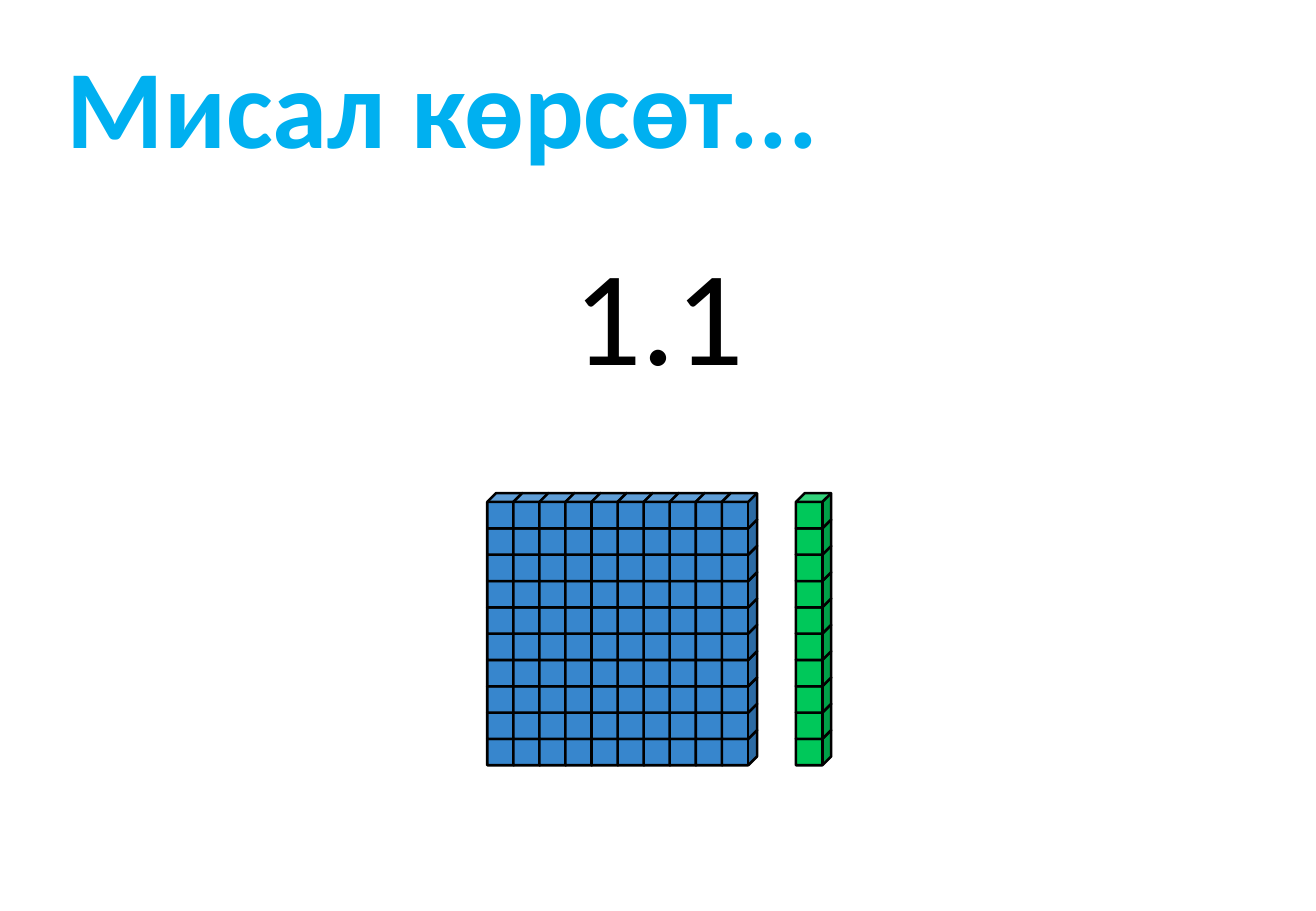
"""Build the slide that shows 1.1 with base-ten blocks."""
from pptx import Presentation
from pptx.dml.color import RGBColor
from pptx.enum.shapes import MSO_SHAPE as SHAPE
from pptx.enum.text import MSO_ANCHOR as ANCHOR, MSO_AUTO_SIZE as AUTO, PP_ALIGN as ALIGN
from pptx.util import Inches, Pt

COLORS = {"title": "00B0F0", "black": "000000", "whole": "3786CD", "tenth": "00C85A"}
CUBE = 0.29
COUNT = 10
COL_STEP = 1.93 / (COUNT - 1)
ROW_STEP = 1.95 / (COUNT - 1)
BOTTOM_ROW = 6.01


def color(name):
    return RGBColor.from_string(COLORS[name])


def write(shape, text, size, name, bold, align):
    tf = shape.text_frame
    tf.text = text
    tf.auto_size = AUTO.NONE
    tf.vertical_anchor = ANCHOR.TOP
    p = tf.paragraphs[0]
    p.alignment = align
    font = p.runs[0].font
    font.name, font.size, font.bold = "Calibri", Pt(size), bold
    font.color.rgb = color(name)


prs = Presentation()
prs.slide_width, prs.slide_height = Inches(10.83), Inches(7.5)
s = prs.slides.add_slide(prs.slide_layouts[5])

title = s.shapes.title
title.left, title.top = Inches(0.24), Inches(0.26)
title.width, title.height = Inches(7.54), Inches(1.21)
write(title, "Мисал көрсөт...", 66, "title", True, ALIGN.LEFT)
title.text_frame.margin_left = Inches(0.31)

number = s.shapes.add_textbox(Inches(4.61), Inches(1.85), Inches(1.62), Inches(1.45))
write(number, "1.1", 80, "black", False, ALIGN.CENTER)
number.text_frame.word_wrap = False

for name, left, columns in (("whole", 4.01, COUNT), ("tenth", 6.55, 1)):
    block = s.shapes.add_group_shape()
    for col in range(columns):
        for row in range(COUNT):
            cube = block.shapes.add_shape(
                SHAPE.CUBE, Inches(left + col * COL_STEP),
                Inches(BOTTOM_ROW - row * ROW_STEP), Inches(CUBE), Inches(CUBE))
            cube.shadow.inherit = False
            cube.fill.solid()
            cube.fill.fore_color.rgb = color(name)
            cube.line.color.rgb = color("black")
            cube.line.width = Pt(1.5)

prs.save("out.pptx")
